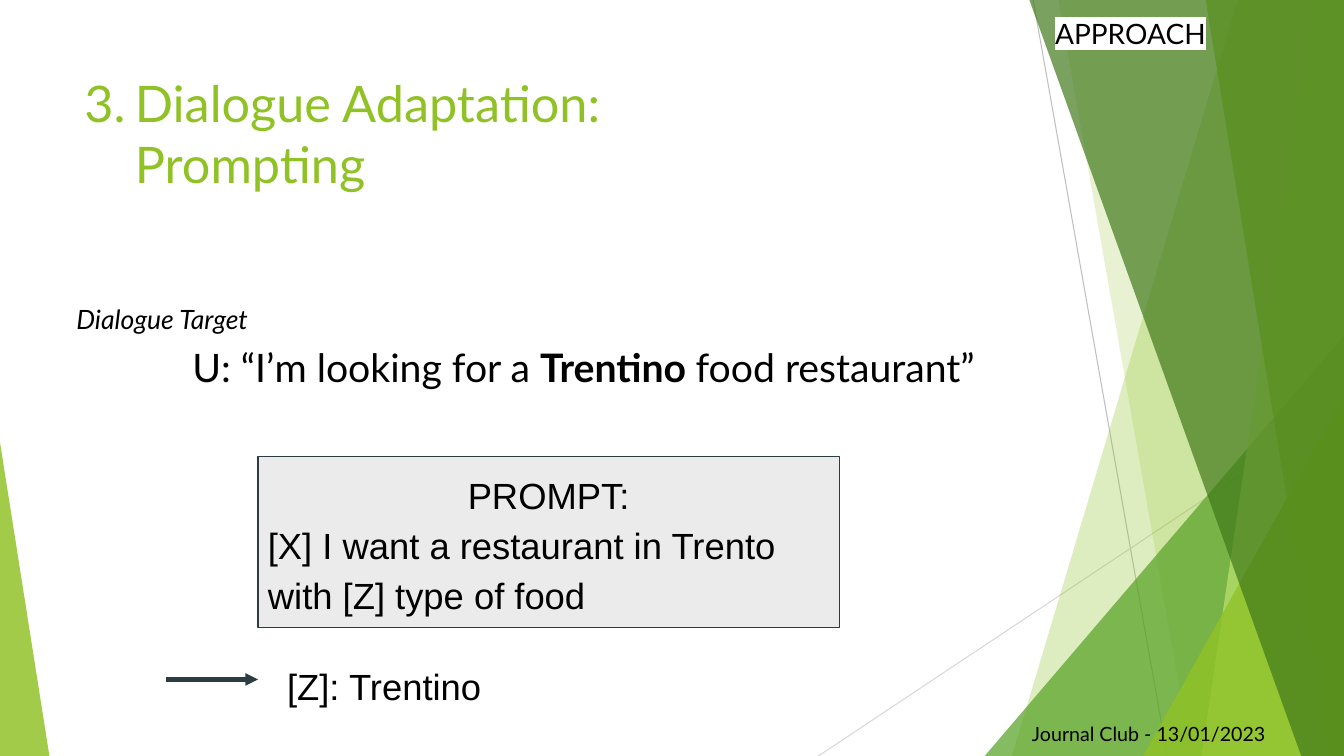
from lxml.etree import SubElement
from pptx import Presentation
from pptx.dml.color import RGBColor
from pptx.enum.shapes import MSO_CONNECTOR, MSO_SHAPE
from pptx.enum.text import MSO_ANCHOR, PP_ALIGN
from pptx.oxml.ns import qn
from pptx.util import Pt

WIDE, HIGH = 960, 540
BLACK = RGBColor(0x00, 0x00, 0x00)
WHITE = RGBColor(0xFF, 0xFF, 0xFF)
LIME = RGBColor(0x90, 0xC2, 0x26)
PALE = RGBColor(0xBF, 0xE4, 0x71)
GREEN = RGBColor(0x54, 0xA0, 0x21)
DARK = RGBColor(0x3F, 0x78, 0x18)
SLATE = RGBColor(0x2C, 0x3C, 0x43)
PANEL = RGBColor(0xEB, 0xEB, 0xEB)
GREY = RGBColor(0xBF, 0xBF, 0xBF)
SILVER = RGBColor(0xD8, 0xD8, 0xD8)


def tint(shape, color, alpha):
    """Fill a shape with a see-through colour and no outline."""
    shape.shadow.inherit = False
    shape.line.fill.background()
    shape.fill.solid()
    shape.fill.fore_color.rgb = color
    node = shape.fill._xPr.find(qn("a:solidFill"))[0]
    SubElement(node, qn("a:alpha"), val=str(alpha * 1000))


def facet(slide, top, base, color, alpha):
    """Draw a band from the slide's right edge to a slanted left edge."""
    form = slide.shapes.build_freeform(Pt(top), Pt(-0.6), scale=1.0)
    corners = [(WIDE, -0.6), (WIDE, HIGH), (base, HIGH)]
    form.add_line_segments([(Pt(x), Pt(y)) for x, y in corners], close=True)
    tint(form.convert_to_shape(), color, alpha)


def wedge(slide, left, top, width, peak, color, alpha):
    """Draw a right triangle that stands on the bottom edge."""
    shape = slide.shapes.add_shape(
        MSO_SHAPE.ISOSCELES_TRIANGLE, Pt(left), Pt(top), Pt(width), Pt(HIGH - top))
    shape.adjustments[0] = peak
    tint(shape, color, alpha)


def rule(slide, start, end, color, weight, arrow=False):
    line = slide.shapes.add_connector(
        MSO_CONNECTOR.STRAIGHT, *[Pt(v) for v in start + end])
    line.line.color.rgb = color
    line.line.width = Pt(weight)
    if arrow:
        SubElement(line.line._ln, qn("a:tailEnd"), type="triangle")
    SubElement(line._element.spPr, qn("a:effectLst"))


def write(para, text, size, face="Lato", color=BLACK, bold=False, italic=False):
    run = para.add_run()
    run.text = text
    font = run.font
    font.size, font.name = Pt(size), face
    font.bold, font.italic = bold, italic
    font.color.rgb = color
    return run


def frame(shape, inset=7.2):
    text = shape.text_frame
    text.word_wrap = True
    text.margin_left = text.margin_right = Pt(7.2)
    text.margin_top = text.margin_bottom = Pt(inset)
    return text


def label(slide, left, top, width, height, inset=7.2):
    """Add a text box and return its first paragraph."""
    box = slide.shapes.add_textbox(Pt(left), Pt(top), Pt(width), Pt(height))
    return frame(box, inset).paragraphs[0]


def mark(run, color):
    """Highlight a run."""
    node = run.font._element.find(qn("a:solidFill"))
    light = SubElement(run.font._element, qn("a:highlight"))
    SubElement(light, qn("a:srgbClr"), val=str(color))
    node.addnext(light)


def number(para, start, color):
    """Number a paragraph with a hanging indent."""
    props = para._p.get_or_add_pPr()
    props.set("marL", str(Pt(36)))
    props.set("indent", str(Pt(-36)))
    tone = SubElement(props, qn("a:buClr"))
    SubElement(tone, qn("a:srgbClr"), val=str(color))
    SubElement(props, qn("a:buFont"), typeface="Lato")
    SubElement(props, qn("a:buAutoNum"), type="arabicPeriod", startAt=str(start))


def prompt(slide):
    box = slide.shapes.add_shape(
        MSO_SHAPE.RECTANGLE, Pt(184.3), Pt(326.2), Pt(415.4), Pt(121.7))
    box.shadow.inherit = False
    box.fill.solid()
    box.fill.fore_color.rgb = PANEL
    box.line.color.rgb = SLATE
    box.line.width = Pt(0.75)
    text = frame(box)
    text.vertical_anchor = MSO_ANCHOR.MIDDLE
    head, body = text.paragraphs[0], text.add_paragraph()
    head.alignment, body.alignment = PP_ALIGN.CENTER, PP_ALIGN.LEFT
    head.line_spacing = body.line_spacing = 1.15
    write(head, "PROMPT:", 26, "Arial")
    write(body, "[X] I want a restaurant in Trento with [Z] type of food", 26, "Arial")


def decor(slide):
    rule(slide, (738, 0), (833.8, HIGH), GREY, 0.75)
    rule(slide, (WIDE, 290.2), (584.6, HIGH), SILVER, 0.75)
    facet(slide, 884.2, 722.9, LIME, 29)
    facet(slide, 756, 851, LIME, 20)
    wedge(slide, 703.4, 239.8, 256.6, 1, GREEN, 71)
    facet(slide, 938.2, 858.2, PALE, 69)
    facet(slide, 861.1, 949, LIME, 64)
    wedge(slide, 816.5, 283, 143.5, 1, LIME, 80)
    wedge(slide, 0, 316, 35.3, 0, LIME, 84)
    facet(slide, 735.1, 929.5, DARK, 69)


def main():
    deck = Presentation()
    deck.slide_width, deck.slide_height = Pt(WIDE), Pt(HIGH)
    slide = deck.slides.add_slide(deck.slide_layouts[6])

    # Background facets
    decor(slide)

    # Footer and section tag
    write(label(slide, 730.1, 508.3, 221, 48.2), "Journal Club - 13/01/2023", 14)
    mark(write(label(slide, 746.6, 4.3, 167.8, 38.9), "APPROACH", 20), WHITE)

    # User turn
    turn = label(slide, 130.3, 238.3, 625, 48.2)
    write(turn, "U: “I’m looking for a ", 28)
    write(turn, "Trentino ", 28, bold=True)
    write(turn, "food restaurant”", 28)

    # Prompt and its answer
    prompt(slide)
    rule(slide, (118.8, 485.3), (184.3, 485.3), SLATE, 3, arrow=True)
    write(label(slide, 47.5, 209.5, 625, 37.4), "Dialogue Target", 19, italic=True)
    answer = label(slide, 198, 462.2, 748.8, 46.1)
    answer.line_spacing = 1.15
    write(answer, "[Z]: Trentino", 26, "Arial")

    # Title
    title = label(slide, 53.3, 48.2, 676.8, 103.7, inset=3.6)
    number(title, 3, LIME)
    write(title, "Dialogue Adaptation:", 36, color=LIME)
    title.add_line_break()
    write(title, "Prompting", 36, color=LIME)

    deck.save("out.pptx")


if __name__ == "__main__":
    main()
